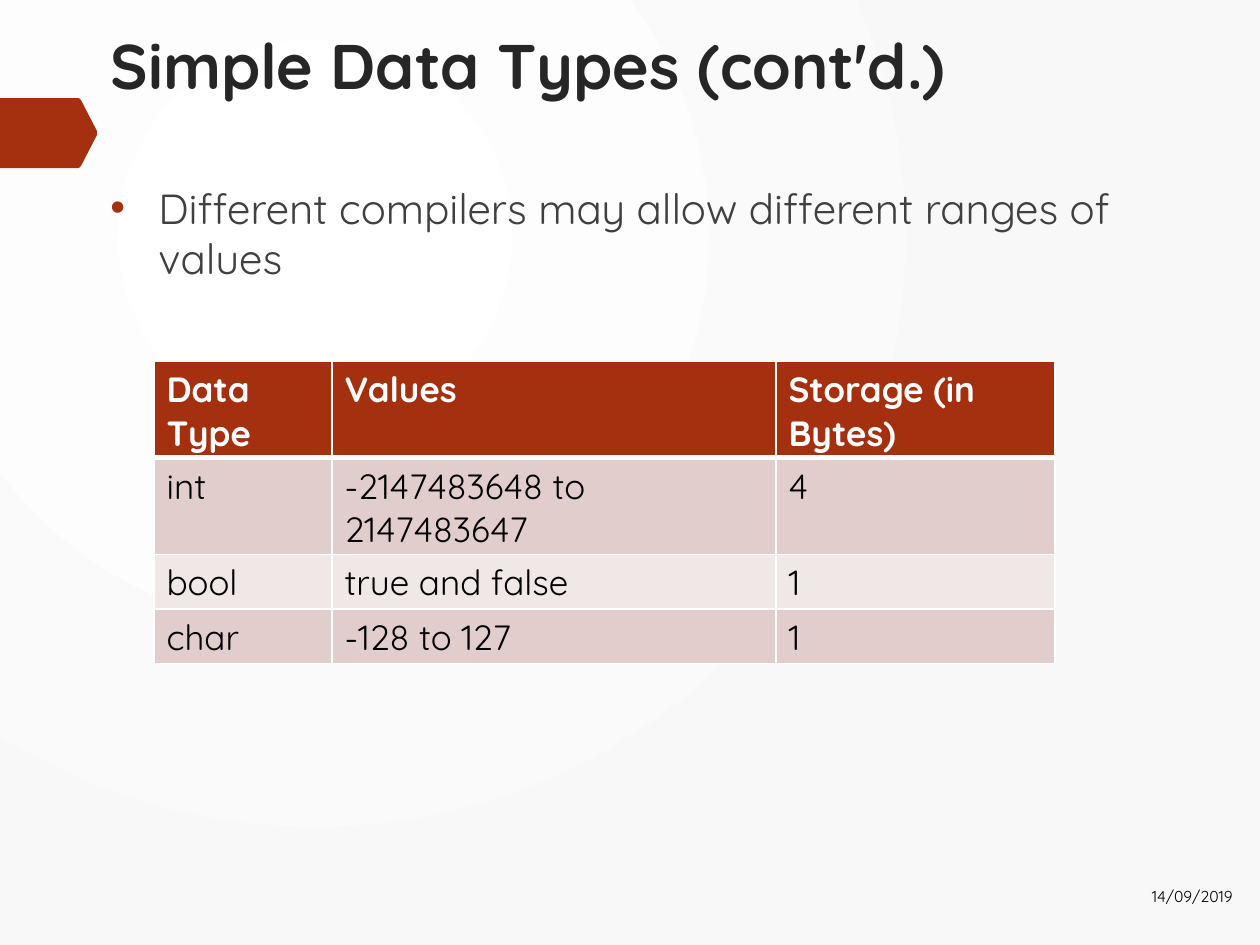
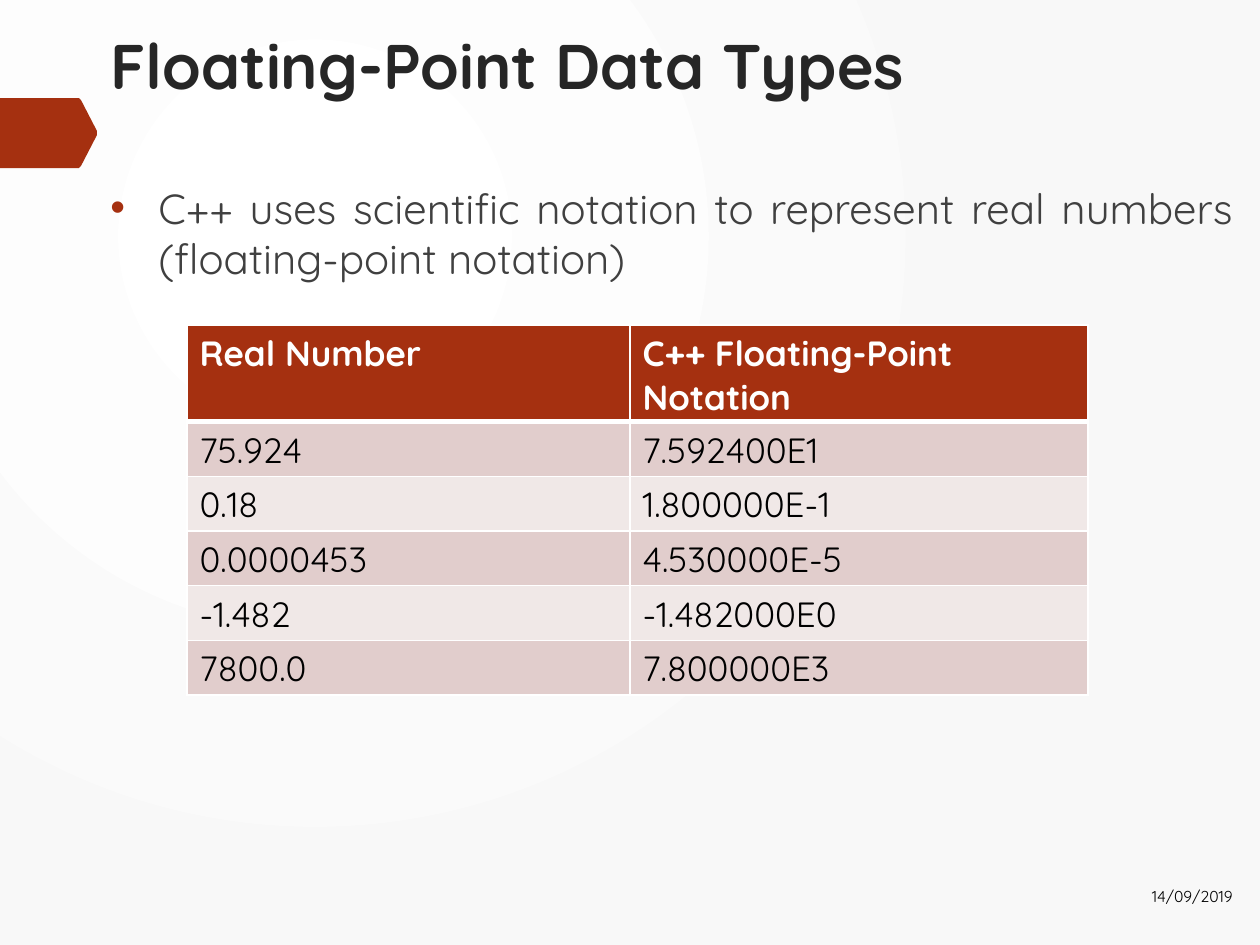
from lxml import etree
from pptx import Presentation
from pptx.dml.color import RGBColor
from pptx.enum.text import MSO_ANCHOR, MSO_AUTO_SIZE, PP_ALIGN
from pptx.oxml.ns import qn
from pptx.util import Pt

# Content
SLIDES = [
    {
        "title": "Simple Data Types (cont'd.)",
        "bullet": "Different compilers may allow different ranges of values",
        "align": PP_ALIGN.LEFT,
        "table_at": (154, 361),
        "columns": [178, 444, 279],
        "rows": [
            ("Data Type", "Values", "Storage (in Bytes)"),
            ("int", "-2147483648 to 2147483647", "4"),
            ("bool", "true and false", "1"),
            ("char", "-128 to 127", "1"),
        ],
    },
    {
        "title": "Floating-Point Data Types",
        "bullet": "C++ uses scientific notation to represent real numbers "
                  "(floating-point notation)",
        "align": PP_ALIGN.JUSTIFY,
        "table_at": (187, 325),
        "columns": [443, 458],
        "rows": [
            ("Real Number", "C++ Floating-Point Notation"),
            ("75.924", "7.592400E1"),
            ("0.18", "1.800000E-1"),
            ("0.0000453", "4.530000E-5"),
            ("-1.482", "-1.482000E0"),
            ("7800.0", "7.800000E3"),
        ],
    },
]
DATE = "14/09/2019"

# Shared look
FONT = "Quicksand"
ACCENT, WHITE, BLACK = "A53010", "FFFFFF", "000000"
TITLE_INK, BODY_INK = "262626", "404040"
BACKDROP = (WHITE, "F8F8F8")
BANDS = ("F0E8E7", "E1CDCC")
ROW_HEIGHT = 52
HANGING = 48
TITLE_BOX = (98, 20, 1147, 112)
BODY_BOX = (98, 176, 1147, 687)
DATE_BOX = (1060, 871, 185, 50)
TAG_OUTLINE = [(0, 98), (79, 98), (81, 100), (97, 131),
               (97, 135), (81, 166), (79, 168), (0, 168)]
EMU_PER_PX = 914400 / 126


def px(length):
    return round(length * EMU_PER_PX)


def hex_color(value):
    return RGBColor.from_string(value)


def add_xml(parent, tag, **attributes):
    return etree.SubElement(parent, qn(tag), attributes)


def write(frame, text, size, color, bold=False, align=PP_ALIGN.LEFT,
          anchor=MSO_ANCHOR.TOP, bullet=None):
    frame.word_wrap = True
    frame.vertical_anchor = anchor
    paragraph = frame.paragraphs[0]
    paragraph.alignment = align
    if bullet:
        properties = paragraph._p.get_or_add_pPr()
        properties.set("marL", str(px(HANGING)))
        properties.set("indent", str(-px(HANGING)))
        add_xml(add_xml(properties, "a:buClr"), "a:srgbClr", val=ACCENT)
        add_xml(properties, "a:buFont", typeface="Arial")
        add_xml(properties, "a:buChar", char=bullet)
    run = paragraph.add_run()
    run.text = text
    run.font.name = FONT
    run.font.size = Pt(size)
    run.font.bold = bold
    run.font.color.rgb = hex_color(color)


def add_text(slide, box, text, **style):
    frame = slide.shapes.add_textbox(*map(px, box)).text_frame
    write(frame, text, **style)


def set_backdrop(master):
    fill = master.background.fill
    fill.gradient()
    for stop, color in zip(fill.gradient_stops, BACKDROP):
        stop.color.rgb = hex_color(color)
    gradient = next(master.element.iter(qn("a:gradFill")))
    gradient.remove(gradient.find(qn("a:lin")))
    circle = add_xml(gradient, "a:path", path="circle")
    add_xml(circle, "a:fillToRect", l="50000", t="50000", r="100000", b="100000")


def add_tag(slide):
    builder = slide.shapes.build_freeform(*TAG_OUTLINE[0], scale=EMU_PER_PX)
    builder.add_line_segments(TAG_OUTLINE[1:], close=True)
    tag = builder.convert_to_shape()
    tag.shadow.inherit = False
    tag.fill.solid()
    tag.fill.fore_color.rgb = hex_color(ACCENT)
    tag.line.fill.background()


def set_borders(cell, **widths):
    properties = cell._tc.get_or_add_tcPr()
    for side in "LRTB":
        line = add_xml(properties, f"a:ln{side}", w=str(Pt(widths.get(side, 1))))
        add_xml(add_xml(line, "a:solidFill"), "a:srgbClr", val=WHITE)


def add_data_table(slide, at, columns, rows):
    table = slide.shapes.add_table(
        len(rows), len(columns), *map(px, at),
        px(sum(columns)), px(ROW_HEIGHT * len(rows))).table
    for column, width in zip(table.columns, columns):
        column.width = px(width)
    for r, values in enumerate(rows):
        table.rows[r].height = px(ROW_HEIGHT)
        header = r == 0
        for c, value in enumerate(values):
            cell = table.cell(r, c)
            # The thick rule lies between the header and the first data row
            set_borders(cell, B=3 if header else 1, T=3 if r == 1 else 1)
            cell.fill.solid()
            cell.fill.fore_color.rgb = hex_color(ACCENT if header else BANDS[r % 2])
            write(cell.text_frame, value, size=20, bold=header,
                  color=WHITE if header else BLACK)


def build_slide(deck, content):
    slide = deck.slides.add_slide(deck.slide_layouts[5])
    add_tag(slide)
    title = slide.shapes.title
    title.left, title.top, title.width, title.height = map(px, TITLE_BOX)
    title.text_frame.auto_size = MSO_AUTO_SIZE.NONE
    write(title.text_frame, content["title"], size=36, color=TITLE_INK, bold=True)
    add_text(slide, BODY_BOX, content["bullet"], size=24, color=BODY_INK,
             align=content["align"], bullet="•")
    add_data_table(slide, content["table_at"], content["columns"], content["rows"])
    add_text(slide, DATE_BOX, DATE, size=9, color=BLACK,
             align=PP_ALIGN.RIGHT, anchor=MSO_ANCHOR.MIDDLE)


def main():
    deck = Presentation()
    deck.slide_width, deck.slide_height = px(1260), px(945)
    set_backdrop(deck.slide_master)
    for content in SLIDES:
        build_slide(deck, content)
    deck.save("out.pptx")


if __name__ == "__main__":
    main()
